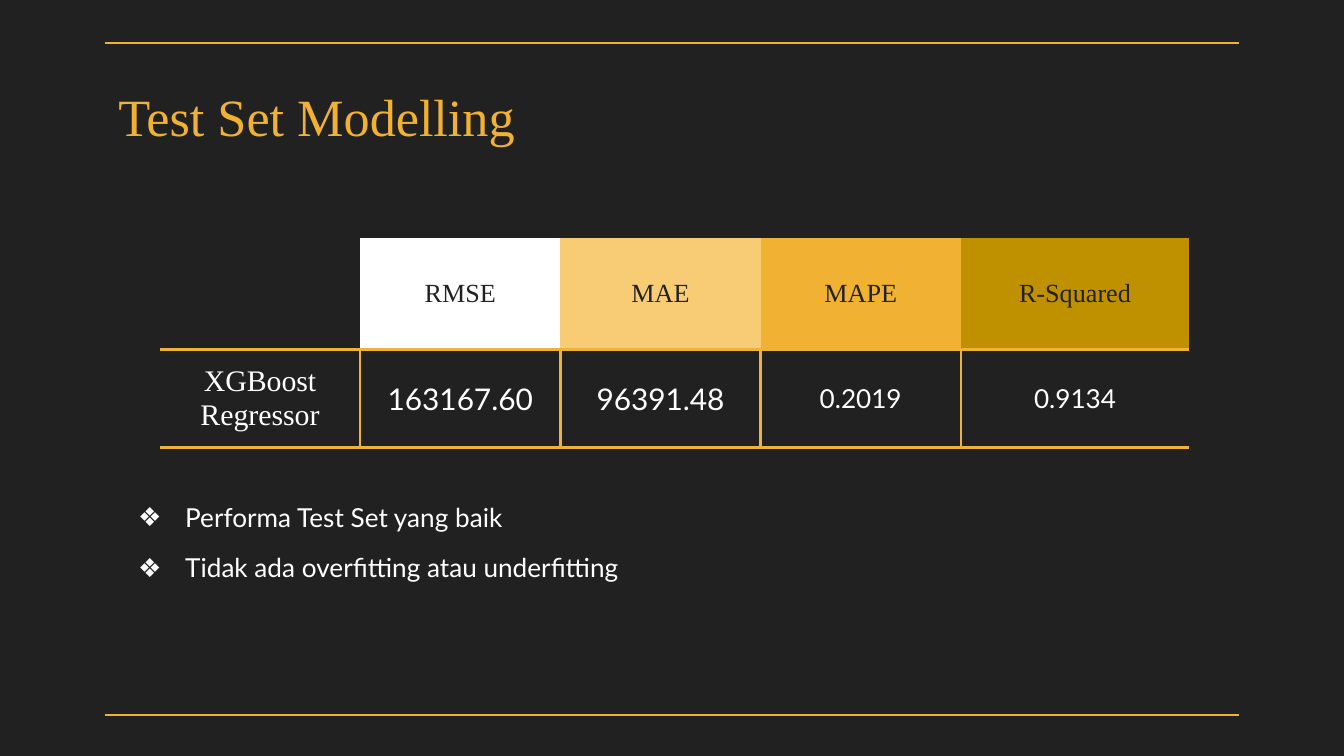
from collections import namedtuple
from dataclasses import dataclass

from lxml.etree import SubElement
from pptx import Presentation
from pptx.dml.color import RGBColor
from pptx.enum.shapes import MSO_CONNECTOR
from pptx.enum.text import MSO_ANCHOR, MSO_AUTO_SIZE, PP_ALIGN
from pptx.oxml.ns import qn
from pptx.util import Inches, Pt

Box = namedtuple("Box", "left top width height")


@dataclass(frozen=True)
class Theme:
    """Colours, fonts and type sizes of the deck."""
    dark: str = "212121"
    light: str = "FFFFFF"
    gold: str = "F1B234"
    pale_gold: str = "F8CC74"
    deep_gold: str = "BF9000"
    serif: str = "Times New Roman"
    sans: str = "Lato"
    title_size: int = 28
    large_size: int = 16
    text_size: int = 14
    rule_width: float = 1.5


THEME = Theme()
GRID_COLUMNS = 100
GRID_ROWS = 56.25
PADDING = {f"margin_{side}": Inches(0.1) for side in ("left", "right", "top", "bottom")}
FRAME = {"word_wrap": True, "auto_size": MSO_AUTO_SIZE.NONE, **PADDING}
HEADERS = {"RMSE": THEME.light, "MAE": THEME.pale_gold,
           "MAPE": THEME.gold, "R-Squared": THEME.deep_gold}
SCORES = {"163167.60": THEME.large_size, "96391.48": THEME.large_size,
          "0.2019": THEME.text_size, "0.9134": THEME.text_size}
FINDINGS = ["Performa Test Set yang baik", "Tidak ada overfitting atau underfitting"]


def apply_format(target, values):
    """Set each named attribute of the target."""
    for name, value in values.items():
        setattr(target, name, value)


def inches(box):
    """Turn a box into lengths for python-pptx."""
    return [Inches(length) for length in box]


def write(para, text, font, size, color, align=PP_ALIGN.LEFT):
    """Add one formatted span to a paragraph."""
    para.alignment = align
    span = para.add_run()
    span.text = text
    apply_format(span.font, {"name": font, "size": Pt(size), "bold": False})
    span.font.color.rgb = RGBColor.from_string(color)


def add_bullet(para):
    """Give a paragraph a diamond bullet with a hanging indent."""
    properties = para._p.get_or_add_pPr()
    properties.set("marL", str(Inches(0.5)))
    properties.set("indent", str(Inches(-0.35)))
    color = SubElement(properties, qn("a:buClr"))
    SubElement(color, qn("a:srgbClr"), val=THEME.light)
    SubElement(properties, qn("a:buSzPts"), val=str(THEME.text_size * 100))
    SubElement(properties, qn("a:buFont"), typeface=THEME.sans)
    SubElement(properties, qn("a:buChar"), char="❖")


def set_borders(cell, gold_sides):
    """Draw gold borders on the given sides and none on the others."""
    properties = cell._tc.get_or_add_tcPr()
    for side in "LRTB":
        line = SubElement(properties, qn(f"a:ln{side}"), w=str(Pt(THEME.rule_width)))
        if side in gold_sides:
            fill = SubElement(line, qn("a:solidFill"))
            SubElement(fill, qn("a:srgbClr"), val=THEME.gold)
        else:
            SubElement(line, qn("a:noFill"))


def fill_cell(cell, text, font, size, color, borders, fill=None):
    """Format one table cell and write its text."""
    apply_format(cell, {"vertical_anchor": MSO_ANCHOR.MIDDLE, **PADDING})
    set_borders(cell, borders)
    if fill:
        cell.fill.solid()
        cell.fill.fore_color.rgb = RGBColor.from_string(fill)
    else:
        cell.fill.background()
    if text:
        write(cell.text_frame.paragraphs[0], text, font, size, color, PP_ALIGN.CENTER)


def add_rules(page, box):
    """Draw gold rules along the top and bottom of the box."""
    for y in (box.top, box.top + box.height):
        rule = page.shapes.add_connector(
            MSO_CONNECTOR.STRAIGHT, *inches((box.left, y, box.left + box.width, y)))
        rule.line.color.rgb = RGBColor.from_string(THEME.gold)
        rule.line.width = Pt(THEME.rule_width)
        SubElement(rule._element.spPr, qn("a:effectLst"))


def add_title(page, box, text):
    """Place the title placeholder in the box."""
    title = page.shapes.title
    apply_format(title, dict(zip(Box._fields, inches(box))))
    apply_format(title.text_frame, {**FRAME, "vertical_anchor": MSO_ANCHOR.MIDDLE})
    write(title.text_frame.paragraphs[0], text, THEME.serif, THEME.title_size, THEME.gold)


def add_score_table(page, box):
    """Build the table of model scores, with a wider last column."""
    count = len(HEADERS) + 1
    table = page.shapes.add_table(2, count, *inches(box)).table
    apply_format(table, {"first_row": False, "horz_banding": False})
    narrow = 1.49
    widths = [narrow] * (count - 1) + [box.width - narrow * (count - 1)]
    for column, width in zip(table.columns, widths):
        column.width = Inches(width)
    header_height = 0.83
    for row, height in zip(table.rows, (header_height, box.height - header_height)):
        row.height = Inches(height)

    fill_cell(table.cell(0, 0), "", THEME.serif, THEME.text_size, THEME.dark, "B")
    fill_cell(table.cell(1, 0), "XGBoost Regressor", THEME.serif,
              THEME.large_size, THEME.light, "RTB")
    for index, (header, fill) in enumerate(HEADERS.items(), 1):
        fill_cell(table.cell(0, index), header, THEME.serif,
                  THEME.text_size, THEME.dark, "B", fill)
    for index, (score, size) in enumerate(SCORES.items(), 1):
        borders = "LTB" if index == len(SCORES) else "LRTB"
        fill_cell(table.cell(1, index), score, THEME.sans, size, THEME.light, borders)


def add_findings(page, box, findings):
    """List the findings as bullets in the box."""
    frame = page.shapes.add_textbox(*inches(box)).text_frame
    apply_format(frame, FRAME)
    for index, finding in enumerate(findings):
        para = frame.add_paragraph() if index else frame.paragraphs[0]
        add_bullet(para)
        if index:
            apply_format(para, {"space_before": Pt(10), "space_after": Pt(10)})
        write(para, finding, THEME.sans, THEME.text_size, THEME.light)


def build_score_slide(deck, box):
    """Lay out the model score slide within the box."""
    page = deck.slides.add_slide(deck.slide_layouts[5])
    page.background.fill.solid()
    page.background.fill.fore_color.rgb = RGBColor.from_string(THEME.dark)
    column, row = box.width / GRID_COLUMNS, box.height / GRID_ROWS

    def region(left, top, width, height):
        """Turn grid columns and rows into a box."""
        return Box(box.left + column * left, box.top + row * top,
                   column * width, row * height)

    margin = 7.8
    content = GRID_COLUMNS - 2 * margin
    add_rules(page, region(margin, 3.2, content, 50))
    add_title(page, region(margin, 6, content, 5.2), "Test Set Modelling")
    add_findings(page, region(margin, 36.3, content, 17.4), FINDINGS)
    add_score_table(page, region(11.9, 17.7, 76.6, 15.6))


def main():
    """Create and save the deck."""
    deck = Presentation()
    slide_box = Box(0, 0, 10, 10 * 9 / 16)
    apply_format(deck, {"slide_width": Inches(slide_box.width),
                        "slide_height": Inches(slide_box.height)})
    build_score_slide(deck, slide_box)
    deck.save("out.pptx")


if __name__ == "__main__":
    main()
